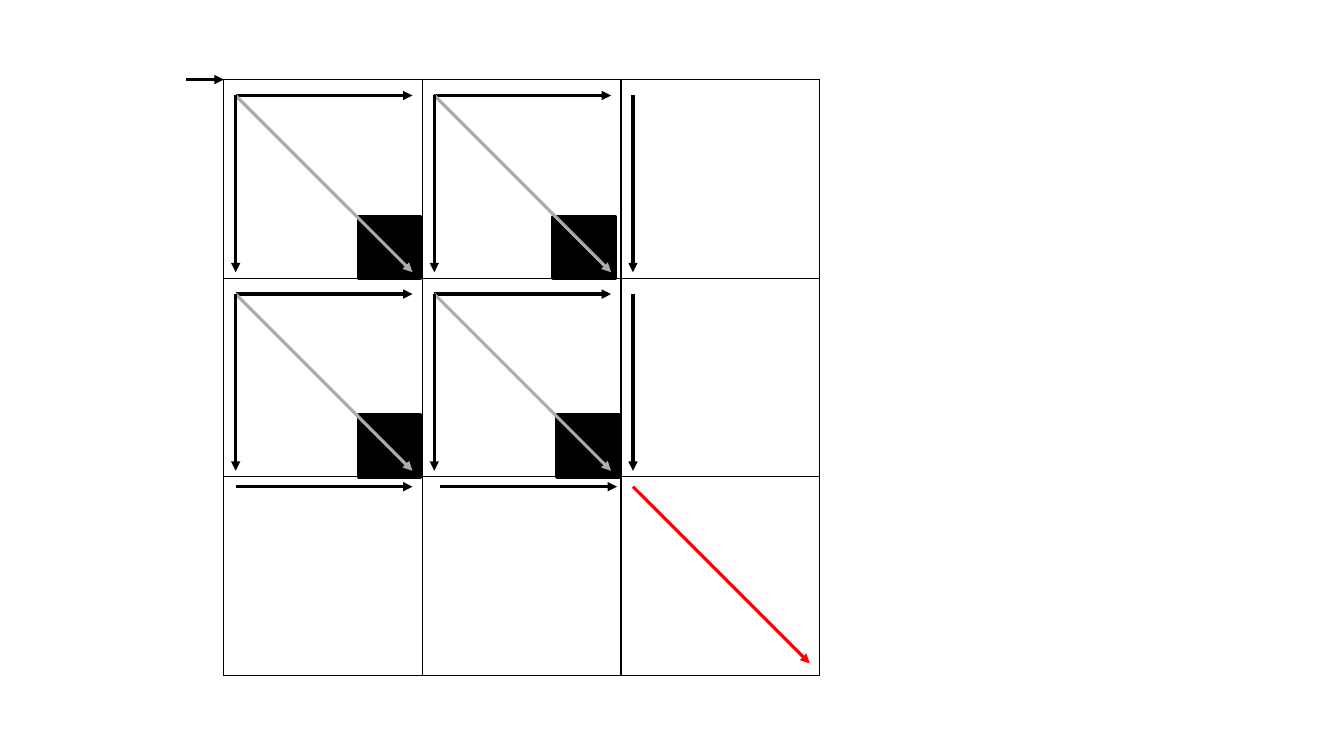
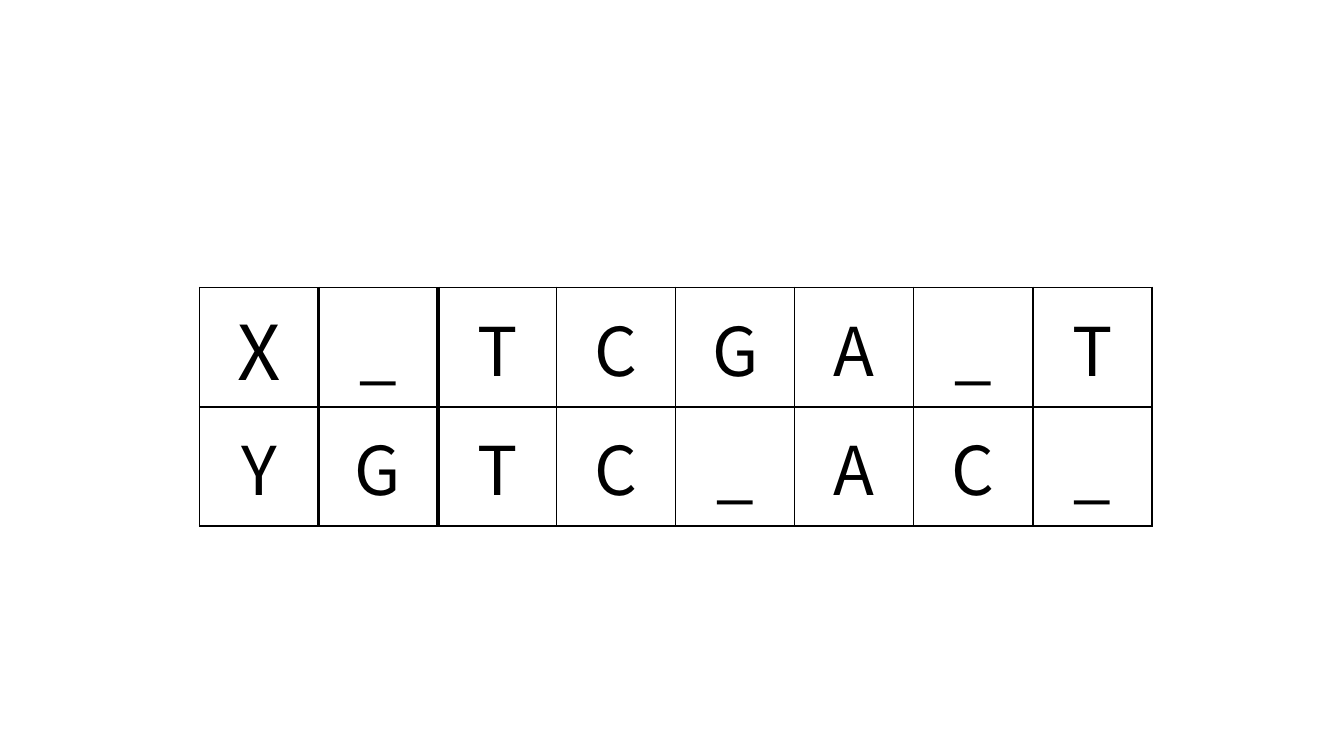
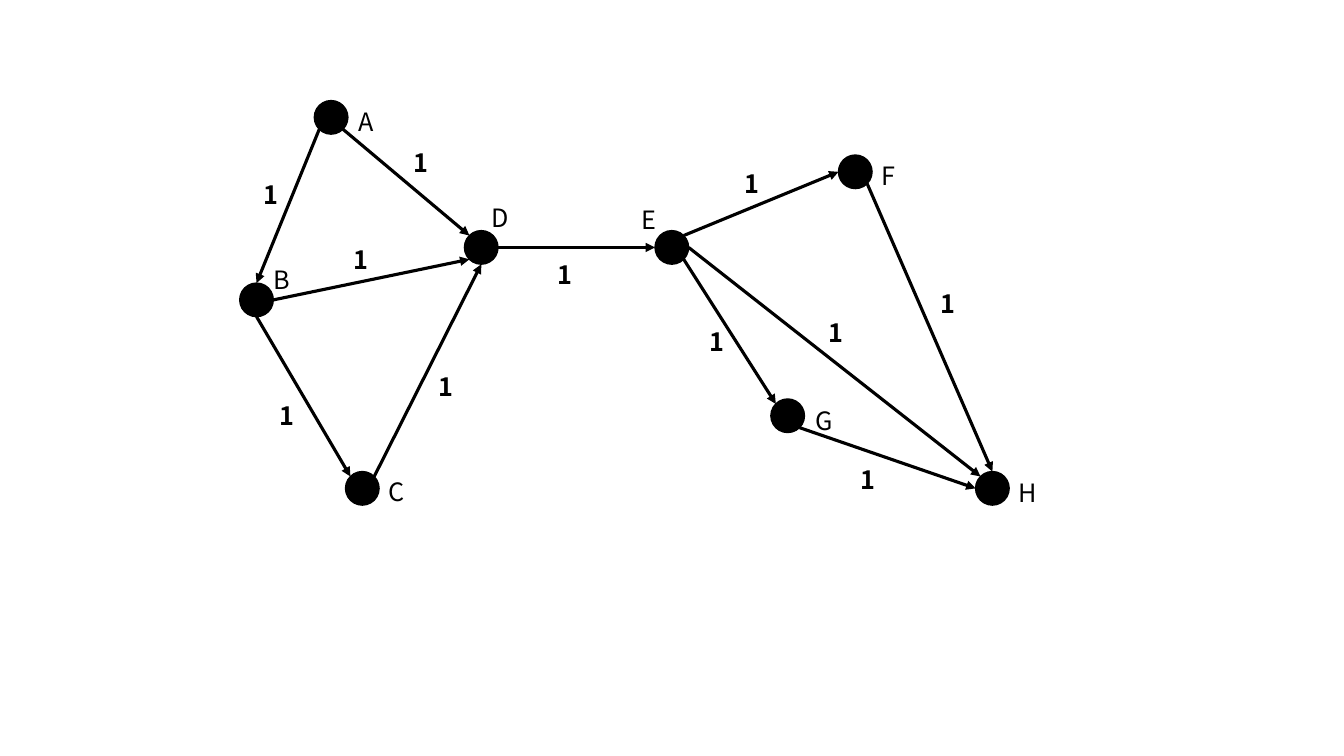
"""Builds three slides on sequence alignment: step grid, aligned pair and weighted graph."""
from math import cos, radians, sin

from lxml.etree import SubElement
from pptx import Presentation
from pptx.dml.color import RGBColor
from pptx.enum.shapes import MSO_CONNECTOR as Connector, MSO_SHAPE as Shape
from pptx.enum.text import MSO_ANCHOR as Anchor, MSO_AUTO_SIZE as AutoSize, PP_ALIGN as Align
from pptx.oxml.ns import qn
from pptx.util import Inches, Pt

COLORS = {"ink": "000000", "diagonal": "AFABAB", "mismatch": "FF0000"}
FONT = "Noto Sans CJK JP"
INK = RGBColor.from_string(COLORS["ink"])

deck = Presentation()
deck.slide_width, deck.slide_height = Inches(13.33), Inches(7.5)
COL, ROW = deck.slide_width / 100, deck.slide_height / 100
blank = deck.slide_layouts[6]


def draw_arrow(slide, start, end, color="ink"):
    """Draws a straight arrow between two points."""
    points = [round(value) for value in (*start, *end)]
    arrow = slide.shapes.add_connector(Connector.STRAIGHT, *points)
    arrow.line.color.rgb = RGBColor.from_string(COLORS[color])
    arrow.line.width = Pt(2.25)
    SubElement(arrow.line._get_or_add_ln(), qn("a:tailEnd"), type="triangle")
    SubElement(arrow._element.spPr, qn("a:effectLst"))
    return arrow


def draw_grid(slide, left, top, cell_size, rows, cols, thick_edges=()):
    """Adds a table of unfilled square cells with ruled borders."""
    frame = slide.shapes.add_table(rows, cols, round(left), round(top),
                                   round(cols * cell_size), round(rows * cell_size))
    table = frame.table
    table.first_row = table.horz_banding = False
    for row in range(rows):
        table.rows[row].height = round(cell_size)
        for col in range(cols):
            table.columns[col].width = round(cell_size)
            cell = table.cell(row, col)
            edges = {"lnL": col, "lnR": col + 1, "lnT": None, "lnB": None}
            for tag, edge in edges.items():
                width = Pt(3 if edge in thick_edges else 1)
                border = SubElement(cell._tc.get_or_add_tcPr(), qn(f"a:{tag}"), w=str(width))
                SubElement(SubElement(border, qn("a:solidFill")), qn("a:srgbClr"),
                           val=COLORS["ink"])
            cell.fill.background()
    return table


steps_slide = deck.slides.add_slide(blank)
step = 14.78 * COL
grid_left, grid_top = 16.65 * COL, 10.53 * ROW
draw_grid(steps_slide, grid_left, grid_top, step, 3, 3)

for col, row in [(0.68, 0.69), (1.68, 1.69), (0.68, 1.69), (1.66, 0.69)]:
    match = steps_slide.shapes.add_shape(
        Shape.RECTANGLE, round(grid_left + col * step), round(grid_top + row * step),
        round(0.31 * step), round(0.31 * step))
    match.shadow.inherit = False
    match.fill.solid()
    match.fill.fore_color.rgb = match.line.color.rgb = INK
    match.line.width = Pt(3)

REACH = 0.89
moves = [(-0.19, 0, 0.19, 0, "ink")]
for row in (0.08, 1.08):
    for col in (0.06, 1.06):
        moves += [(col, row, REACH, 0, "ink"),
                  (col, row, REACH, REACH, "diagonal"),
                  (col, row, 0, REACH, "ink")]
    moves.append((2.06, row, 0, REACH, "ink"))
moves += [(0.06, 2.05, REACH, 0, "ink"),
          (1.09, 2.05, REACH, 0, "ink"),
          (2.06, 2.05, REACH, REACH, "mismatch")]
for col, row, across, down, color in moves:
    x, y = grid_left + col * step, grid_top + row * step
    draw_arrow(steps_slide, (x, y), (x + across * step, y + down * step), color)

pair_slide = deck.slides.add_slide(blank)
sequences = ["X_TCGA_T", "YGTC_AC_"]
alignment = draw_grid(pair_slide, 14.85 * COL, 38 * ROW, 8.86 * COL,
                      len(sequences), len(sequences[0]), thick_edges=(1, 2))
for row, sequence in enumerate(sequences):
    for col, base in enumerate(sequence):
        cell = alignment.cell(row, col)
        cell.vertical_anchor = Anchor.MIDDLE
        paragraph = cell.text_frame.paragraphs[0]
        paragraph.text = base
        paragraph.alignment = Align.CENTER
        font = paragraph.runs[0].font
        font.name, font.size = FONT, Pt(54 if base == "X" else 48)
        font.color.rgb = INK

graph_slide = deck.slides.add_slide(blank)
DIAMETER = 2.5 * COL
nodes = {
    "A": ((24.64, 15.53), (25.95, 13.47)),
    "B": ((19.09, 39.67), (19.65, 34.27)),
    "C": ((26.96, 64.6), (28.2, 62.4)),
    "D": ((35.81, 32.73), (35.85, 26.13)),
    "E": ((49.99, 32.73), (47.03, 26.4)),
    "G": ((58.61, 55), (59.93, 52.93)),
    "F": ((63.64, 22.73), (64.88, 20.53)),
    "H": ((73.84, 64.6), (75.08, 62.53)),
}
edges = [
    ("A", 3, "B", 0, (18.9, 23.07)),
    ("A", 5, "D", 1, (30, 18.8)),
    ("B", 6, "D", 3, (25.58, 31.6)),
    ("B", 4, "C", 1, (20.03, 52.27)),
    ("C", 7, "D", 4, (31.88, 48.4)),
    ("D", 6, "E", 2, (40.73, 33.6)),
    ("E", 7, "F", 2, (54.68, 21.6)),
    ("E", 6, "H", 1, (60.9, 41.33)),
    ("E", 5, "G", 1, (52.05, 42.53)),
    ("G", 5, "H", 2, (63.3, 60.8)),
    ("F", 5, "H", 0, (69.23, 37.47)),
]

dots = {}
for name, ((col, row), _) in nodes.items():
    dot = graph_slide.shapes.add_shape(
        Shape.OVAL, round(col * COL - DIAMETER / 2), round(row * ROW - DIAMETER / 2),
        round(DIAMETER), round(DIAMETER))
    dot.shadow.inherit = False
    dot.fill.solid()
    dot.fill.fore_color.rgb = dot.line.color.rgb = INK
    dot.line.width = Pt(1)
    dots[name] = dot

for source, source_site, target, target_site, _ in edges:
    ends = []
    for name, site in ((source, source_site), (target, target_site)):
        (col, row), _ = nodes[name]
        angle = radians(90 + 45 * site)
        ends.append((col * COL + DIAMETER / 2 * cos(angle),
                     row * ROW - DIAMETER / 2 * sin(angle)))
    link = draw_arrow(graph_slide, *ends)
    joints = link._element.nvCxnSpPr.cNvCxnSpPr
    for tag, name, site in (("stCxn", source, source_site), ("endCxn", target, target_site)):
        SubElement(joints, qn(f"a:{tag}"), id=str(dots[name].shape_id), idx=str(site))

labels = [(name, spot, 2.8, False) for name, (_, spot) in nodes.items()]
labels += [("1", spot, 2.6, True) for *_, spot in edges]
for text, (col, row), width, bold in labels:
    label = graph_slide.shapes.add_textbox(
        round(col * COL), round(row * ROW), round(width * COL), round(5.33 * ROW))
    frame = label.text_frame
    frame.word_wrap = False
    frame.auto_size = AutoSize.SHAPE_TO_FIT_TEXT
    frame.text = text
    font = frame.paragraphs[0].runs[0].font
    font.name, font.size, font.bold = FONT, Pt(18), bold
    font.color.rgb = INK

deck.save("out.pptx")
